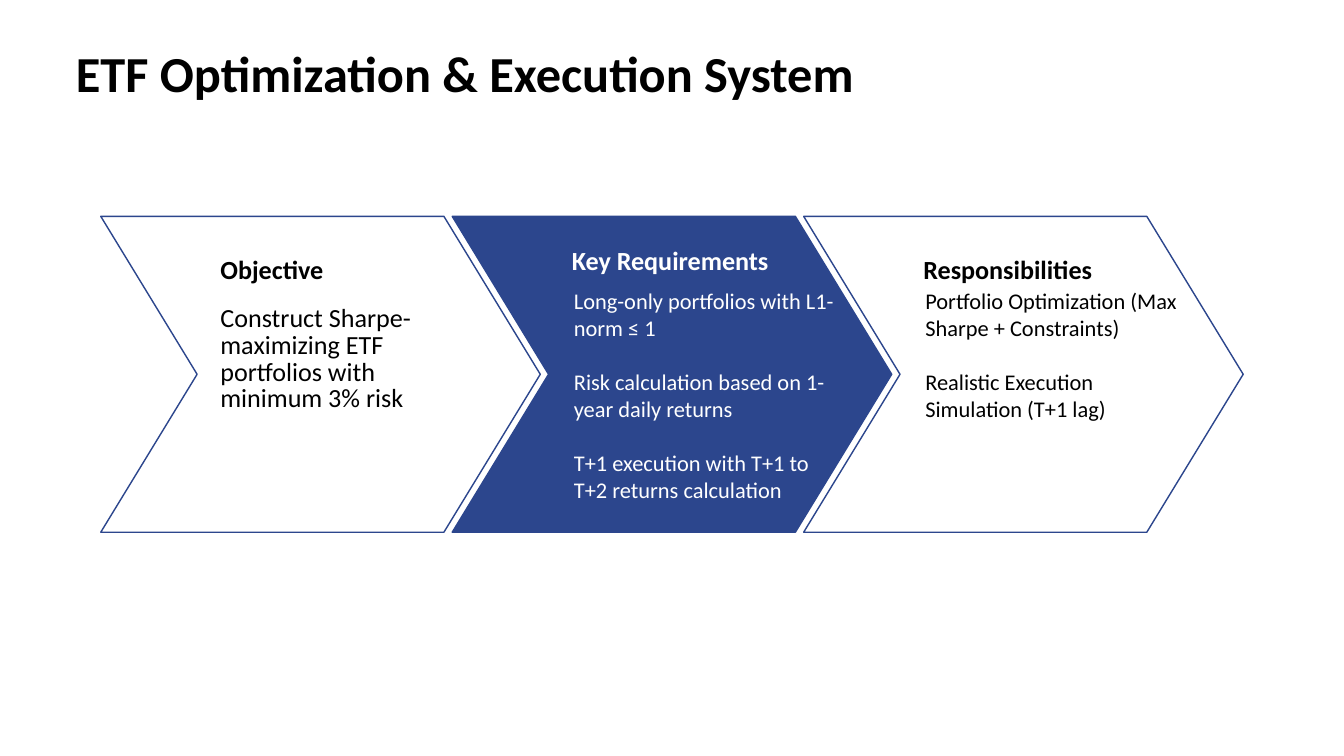
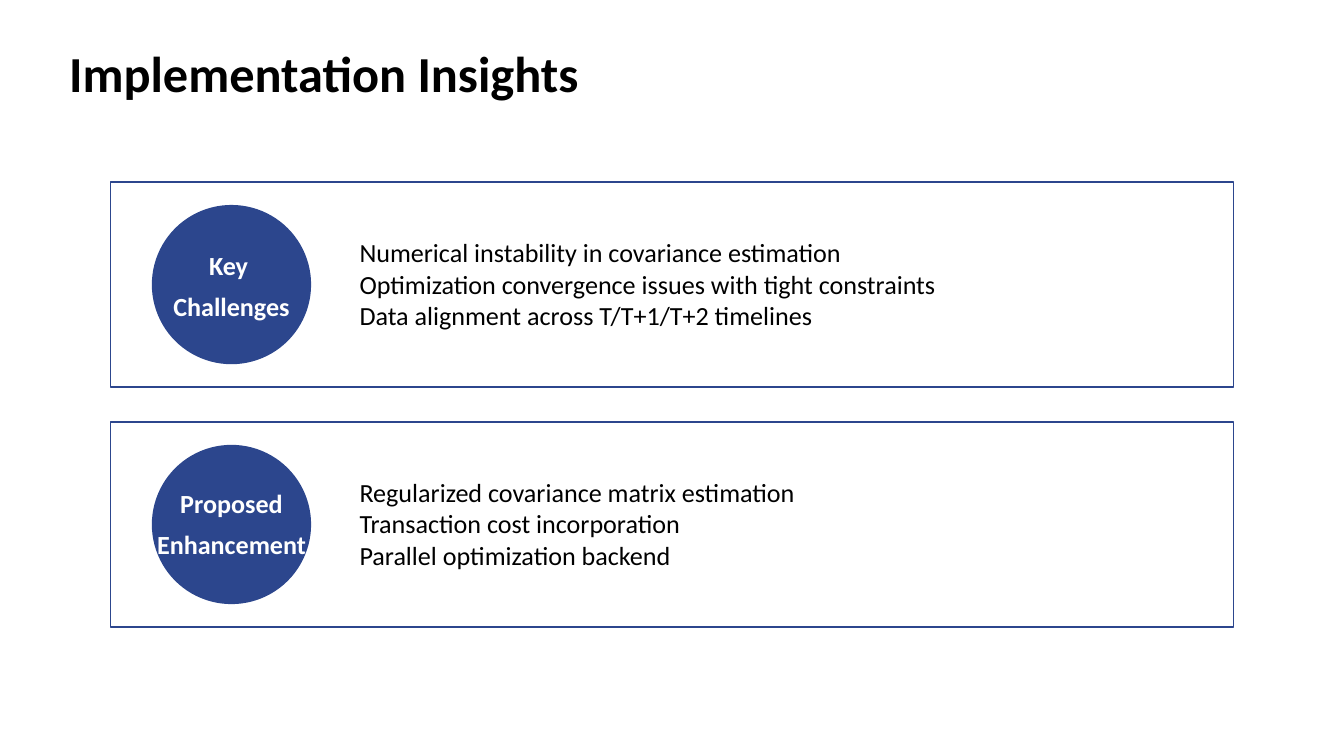
from pptx import Presentation
from pptx.dml.color import RGBColor
from pptx.enum.shapes import MSO_SHAPE
from pptx.enum.text import MSO_ANCHOR, MSO_AUTO_SIZE, PP_ALIGN
from pptx.util import Inches, Pt

CHEVRON, RECT, OVAL = MSO_SHAPE.CHEVRON, MSO_SHAPE.RECTANGLE, MSO_SHAPE.OVAL
LEFT, CENTER = PP_ALIGN.LEFT, PP_ALIGN.CENTER
TOP, NO_FIT = MSO_ANCHOR.TOP, MSO_AUTO_SIZE.NONE

FONT = "Calibri"
COLORS = {"blue": "2C468D", "white": "FFFFFF", "black": "000000"}
TITLE_ONLY = 5
HEAD_LINE = 43.7

STEPS = [
    ("Objective", ["Construct Sharpe-maximizing ETF portfolios with minimum 3% risk"],
     "white", "black"),
    ("Key Requirements", ["Long-only portfolios with L1-norm ≤ 1",
                          "Risk calculation based on 1-year daily returns",
                          "T+1 execution with T+1 to T+2 returns calculation"],
     "blue", "white"),
    ("Responsibilities", ["Portfolio Optimization (Max Sharpe + Constraints)",
                          "Realistic Execution Simulation (T+1 lag)"],
     "white", "black"),
]
PANELS = [
    (["Key ", "Challenges"], 0.86,
     ["Numerical instability in covariance estimation",
      "Optimization convergence issues with tight constraints",
      "Data alignment across T/T+1/T+2 timelines"]),
    (["Proposed", "Enhancement"], 0.83,
     ["Regularized covariance matrix estimation",
      "Transaction cost incorporation",
      "Parallel optimization backend"]),
]


def rgb(name):
    return RGBColor.from_string(COLORS[name])


def write(frame, lines, size, color="black", bold=False, align=LEFT, line=None, gap=0):
    frame.word_wrap = True
    frame.auto_size = NO_FIT
    frame.vertical_anchor = TOP
    frame.margin_left = frame.margin_right = 0
    frame.margin_top = frame.margin_bottom = 0
    frame.text = "\n".join(lines)
    for i, para in enumerate(frame.paragraphs):
        para.alignment = align
        para.space_before = Pt(gap if i else 0)
        if line:
            para.line_spacing = Pt(line)
        for run in para.runs:
            run.font.name = FONT
            run.font.size = Pt(size)
            run.font.bold = bold
            run.font.color.rgb = rgb(color)


def add_text(slide, x, y, w, h, lines, size, **style):
    box = slide.shapes.add_textbox(Inches(x), Inches(y), Inches(w), Inches(h))
    write(box.text_frame, lines, size, **style)


def add_block(slide, kind, x, y, w, h, fill=None, line=None):
    block = slide.shapes.add_shape(kind, Inches(x), Inches(y), Inches(w), Inches(h))
    block.shadow.inherit = False
    if fill:
        block.fill.solid()
        block.fill.fore_color.rgb = rgb(fill)
    else:
        block.fill.background()
    if line:
        block.line.color.rgb = rgb(line)
        block.line.width = Pt(1.5)
    else:
        block.line.fill.background()
    return block


def add_slide(deck, text, x, w):
    slide = deck.slides.add_slide(deck.slide_layouts[TITLE_ONLY])
    title = slide.shapes.title
    title.left, title.top = Inches(x), Inches(0.63)
    title.width, title.height = Inches(w), Inches(0.91)
    write(title.text_frame, [text], 54, bold=True)
    return slide


def add_step(slide, index, head, lines, fill, ink):
    x = 1.5 + 5.23 * index
    arrow = add_block(slide, CHEVRON, x, 3.22, 6.54, 4.7, fill, "blue")
    arrow.adjustments[0] = 0.305
    single = len(lines) == 1
    pitch = None if fill == "blue" else HEAD_LINE
    add_text(slide, x + 1.78, 3.63, 3.16, 0.56, [head], 28, color=ink, bold=True, line=pitch)
    if single:
        add_text(slide, x + 1.78, 4.56, 3.45, 1.61, lines, 28, color=ink, line=28.6)
    else:
        add_text(slide, x + 1.81, 4.28, 3.87, 3.23, lines, 24, color=ink, gap=29)


def add_panel(slide, index, label, drop, lines):
    y = 2.71 + 3.57 * index
    add_block(slide, RECT, 1.64, y, 16.72, 3.05, line="blue")
    add_text(slide, 5.35, y + 0.81, 12.19, 1.41, lines, 28)
    add_block(slide, OVAL, 2.26, y + 0.34, 2.37, 2.37, fill="blue")
    add_text(slide, 1.21, y + drop, 4.47, 1.18, label, 28,
             color="white", bold=True, align=CENTER, line=HEAD_LINE)


def main():
    deck = Presentation()
    deck.slide_width, deck.slide_height = Inches(20), Inches(11.25)

    system = add_slide(deck, "ETF Optimization & Execution System", 1.13, 12.46)
    for index, step in enumerate(STEPS):
        add_step(system, index, *step)

    insights = add_slide(deck, "Implementation Insights", 1.03, 10.14)
    for index, panel in enumerate(PANELS):
        add_panel(insights, index, *panel)

    deck.save("out.pptx")


if __name__ == "__main__":
    main()
